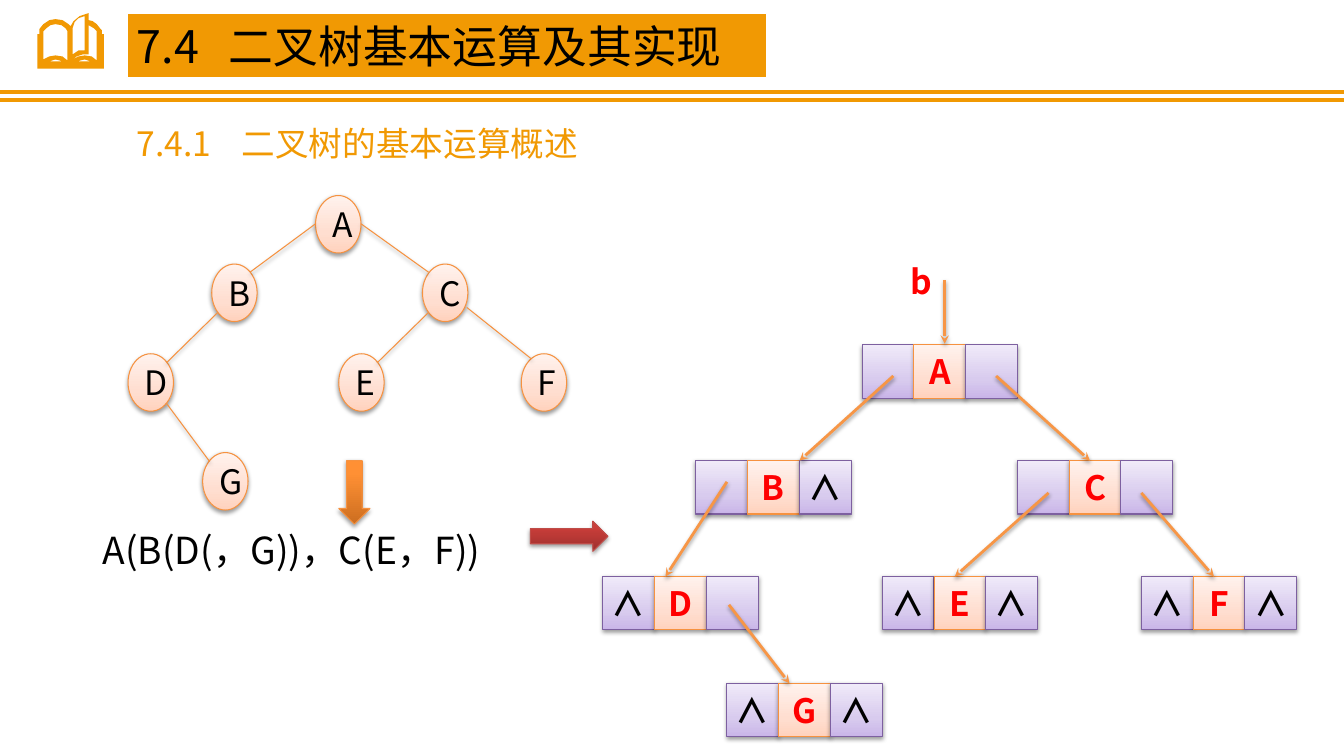
from lxml import etree
from pptx import Presentation
from pptx.dml.color import RGBColor
from pptx.enum.shapes import MSO_CONNECTOR, MSO_SHAPE
from pptx.enum.text import MSO_ANCHOR, PP_ALIGN
from pptx.oxml.ns import qn
from pptx.util import Inches, Pt

STRAIGHT = MSO_CONNECTOR.STRAIGHT
RECTANGLE, OVAL = MSO_SHAPE.RECTANGLE, MSO_SHAPE.OVAL
DOWN_ARROW, RIGHT_ARROW = MSO_SHAPE.DOWN_ARROW, MSO_SHAPE.RIGHT_ARROW
MIDDLE = MSO_ANCHOR.MIDDLE
LEFT, CENTER = PP_ALIGN.LEFT, PP_ALIGN.CENTER
FONT = "Noto Sans CJK SC"
WIDTH, HEIGHT = 13.33, 7.5
COLORS = {"theme": "F19903", "black": "000000", "white": "FFFFFF", "red": "FF0000",
          "edge": "F69240", "pointer": "F79646", "violet": "7D60A0", "brick": "BF4C48"}
GRADIENTS = {
    "peach": [(0, "FFD2BD"), (35, "FFDED0"), (100, "FFF2ED")],
    "lilac": [(0, "C9B5E8"), (35, "D8CBEE"), (100, "F0EAF9")],
    "orange": [(0, "CC6E20"), (80, "FF9034"), (100, "FF9136")],
    "crimson": [(0, "9C2F2D"), (80, "CB3E3A"), (100, "CE3B37")],
}


def write(shape, text, size, color, bold=False, align=CENTER, wrap=True, tab=None):
    frame = shape.text_frame
    frame.word_wrap = wrap
    frame.vertical_anchor = MIDDLE
    para = frame.paragraphs[0]
    para.alignment = align
    if tab:
        stops = etree.SubElement(para._p.get_or_add_pPr(), qn("a:tabLst"))
        etree.SubElement(stops, qn("a:tab"), pos=str(Inches(tab)), algn="l")
    span = para.add_run()
    span.text = text
    span.font.size = Pt(size)
    span.font.bold = bold
    span.font.color.rgb = RGBColor.from_string(COLORS[color])
    span.font.name = FONT
    etree.SubElement(span._r.get_or_add_rPr(), qn("a:ea"), typeface=FONT)


def dress(shape, line, width=0.75, gradient=None, arrow=False, shadow=True):
    if gradient:
        shape.fill.gradient()
        shape.fill.gradient_angle = 90
        stops = shape._element.spPr.find(".//" + qn("a:gsLst"))
        stops[:] = []
        for position, color in GRADIENTS[gradient]:
            stop = etree.SubElement(stops, qn("a:gs"), pos=str(position * 1000))
            etree.SubElement(stop, qn("a:srgbClr"), val=color)
    shape.line.color.rgb = RGBColor.from_string(COLORS[line])
    shape.line.width = Pt(width)
    if arrow:
        etree.SubElement(shape.line._get_or_add_ln(), qn("a:tailEnd"), type="stealth")
    effects = etree.SubElement(shape._element.spPr, qn("a:effectLst"))
    if shadow:
        outer = etree.SubElement(effects, qn("a:outerShdw"), blurRad=str(Pt(3.1)),
                                 dist=str(Pt(1.6)), dir="5400000", rotWithShape="0")
        tone = etree.SubElement(outer, qn("a:srgbClr"), val=COLORS["black"])
        etree.SubElement(tone, qn("a:alpha"), val="38000")


deck = Presentation()
deck.slide_width, deck.slide_height = Inches(WIDTH), Inches(HEIGHT)
page = deck.slides.add_slide(deck.slide_layouts[6])
shapes = page.shapes

for y in (0.91, 0.99):
    rule = shapes.add_connector(STRAIGHT, 0, Inches(y), Inches(WIDTH), Inches(y))
    dress(rule, "theme", 3, shadow=False)

book_outlines = [
    [(101, 34), (101, 30), (100, 29), (96, 24), (92, 21), (88, 20), (88, 13), (79, 16),
     (73, 21), (70, 26), (68, 24), (62, 20), (55, 19), (49, 20), (43, 24), (39, 29),
     (39, 34), (37, 34), (37, 68), (103, 68), (103, 34)],
    [(49, 61), (52, 59.5), (55, 59), (59, 59.5), (62, 61)],
    [(67, 60), (62, 56), (55, 55), (49, 56), (43, 59), (43, 31), (46, 28), (50, 25),
     (55, 24), (61, 25), (65, 28), (67, 31)],
    [(84, 16), (84, 50), (78, 50.5), (72, 54), (72, 28), (74, 22), (78, 18)],
    [(77, 61), (80, 59.5), (84, 59), (87, 59.5), (90, 61)],
    [(96, 60), (91, 56), (84, 55), (78, 56), (72, 59), (76, 55.5), (82, 53.5), (88, 54),
     (88, 25), (93, 28), (96, 31)],
]
builder = shapes.build_freeform(*book_outlines[0][0], scale=Inches(0.01))
for outline in book_outlines:
    builder.move_to(*outline[0])
    builder.add_line_segments(outline[1:], close=True)
book = builder.convert_to_shape()
book.fill.solid()
book.fill.fore_color.rgb = RGBColor.from_string(COLORS["theme"])
book.line.fill.background()
book.shadow.inherit = False

title = shapes.add_shape(RECTANGLE, Inches(1.26), Inches(0.13), Inches(6.34), Inches(0.64))
title.fill.solid()
title.fill.fore_color.rgb = RGBColor.from_string(COLORS["theme"])
dress(title, "white", shadow=False)
write(title, "7.4\t二叉树基本运算及其实现", 32, "black", align=LEFT, tab=0.91)

labels = [
    (1.26, 1.17, 6.33, 0.5, "7.4.1\t二叉树的基本运算概述", 24, "theme", False, LEFT, 1.04),
    (0.92, 5.18, 4.63, 0.55, "A(B(D(，G))，C(E，F))", 26.6, "black", False, LEFT, None),
    (8.68, 2.54, 0.92, 0.5, "b", 24, "red", True, CENTER, None),
]
for x, y, width, height, text, size, color, bold, align, tab in labels:
    label = shapes.add_textbox(Inches(x), Inches(y), Inches(width), Inches(height))
    write(label, text, size, color, bold, align, tab=tab)

tree_rows = [1.94, 2.62, 3.51, 4.49]
tree_nodes = [("A", 3.13, 0), ("B", 2.1, 1), ("C", 4.19, 1), ("D", 1.27, 2),
              ("E", 3.36, 2), ("F", 5.17, 2), ("G", 2.01, 3)]
for name, x, level in tree_nodes:
    node = shapes.add_shape(OVAL, Inches(x), Inches(tree_rows[level]), Inches(0.45), Inches(0.57))
    dress(node, "edge", gradient="peach")
    write(node, name, 24, "black")

cell_width, cell_height = 0.514, 0.53
link_rows = [3.42, 4.57, 5.72, 6.78]
link_nodes = [(" A ", 8.55, 0), (" B∧", 6.9, 1), (" C ", 10.09, 1), ("∧D ", 5.98, 2),
              ("∧E∧", 8.75, 2), ("∧F∧", 11.32, 2), ("∧G∧", 7.21, 3)]
for fields, x, level in link_nodes:
    for column, mark in enumerate(fields):
        is_data = column == 1
        cell = shapes.add_shape(RECTANGLE, Inches(x + column * cell_width),
                                Inches(link_rows[level]), Inches(cell_width), Inches(cell_height))
        dress(cell, "edge" if is_data else "violet", gradient="peach" if is_data else "lilac")
        if mark.strip():
            write(cell, mark, 24, "red" if is_data else "black", True, wrap=False)

tree_edges = [(3.13, 2.22, 2.48, 2.7), (3.58, 2.22, 4.25, 2.7), (2.16, 3.1, 1.65, 3.6),
              (4.25, 3.1, 3.74, 3.6), (4.63, 3.05, 5.27, 3.56), (1.65, 4, 2.08, 4.58)]
pointers = [(9.37, 2.78, 9.37, 3.41), (8.86, 3.73, 7.93, 4.57), (9.88, 3.73, 10.81, 4.57),
            (7.21, 4.78, 6.6, 5.72), (10.4, 4.89, 9.47, 5.72), (11.32, 4.89, 12.04, 5.72),
            (7.23, 6, 7.83, 6.78)]
for ends_list, color, width, arrow in ((tree_edges, "edge", 0.75, False),
                                       (pointers, "pointer", 2, True)):
    for ends in ends_list:
        link = shapes.add_connector(STRAIGHT, *map(Inches, ends))
        dress(link, color, width, arrow=arrow)

block_arrows = [(DOWN_ARROW, 3.36, 4.57, 0.31, 0.63, "edge", "orange"),
                (RIGHT_ARROW, 5.26, 5.17, 0.77, 0.3, "brick", "crimson")]
for kind, x, y, width, height, line, gradient in block_arrows:
    block_arrow = shapes.add_shape(kind, Inches(x), Inches(y), Inches(width), Inches(height))
    dress(block_arrow, line, gradient=gradient)

deck.save("out.pptx")
